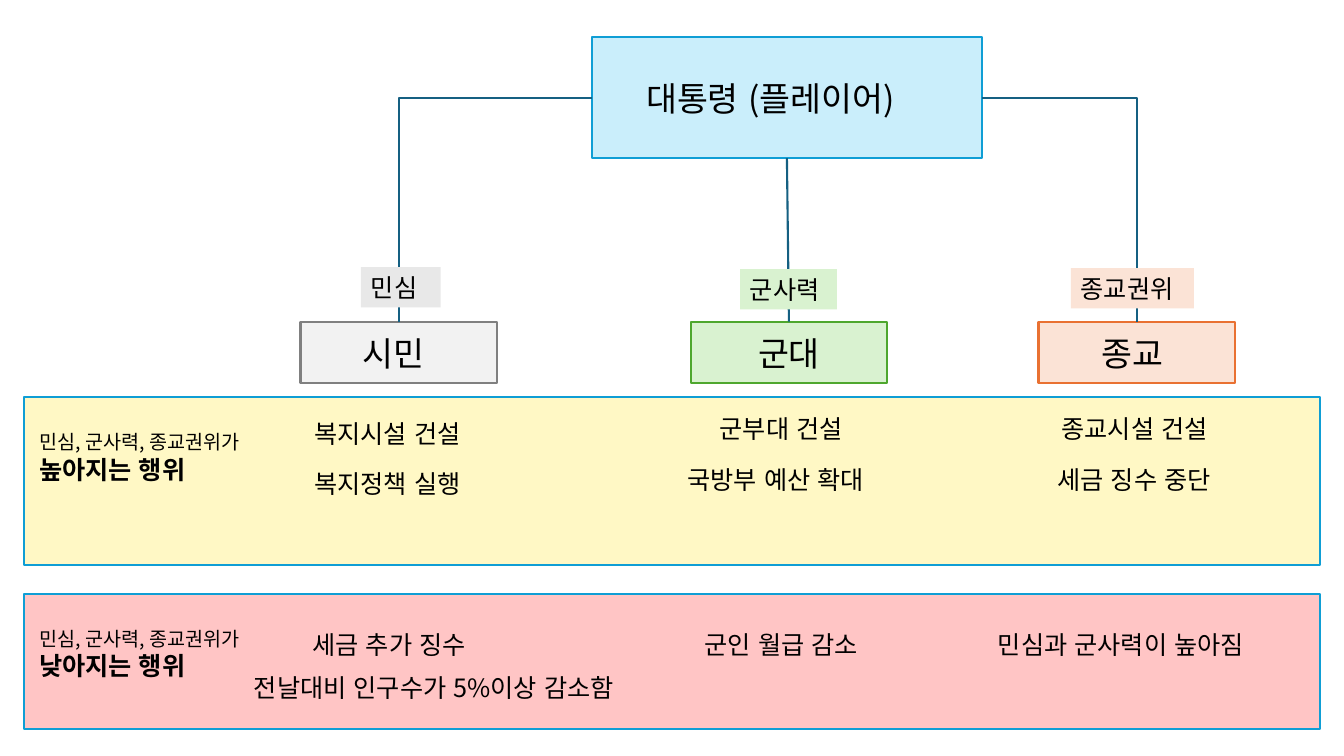
from dataclasses import dataclass

from lxml import etree
from pptx import Presentation
from pptx.dml import color
from pptx.enum import lang, shapes, text
from pptx.oxml import ns
from pptx.util import Inches, Pt


@dataclass(frozen=True)
class Theme:
    font: str = "Noto Sans CJK KR"
    ink: str = "000000"
    connector: str = "156082"
    accent: str = "0F9ED5"
    president: str = "CAEEFB"
    raising: str = "FFF8C5"
    lowering: str = "FFC5C5"
    title: int = 24
    body: int = 18
    small: int = 14
    line: float = 1.5


@dataclass(frozen=True)
class Box:
    x: float
    y: float
    w: float
    h: float
    fill: str
    line: str


@dataclass(frozen=True)
class Run:
    words: str
    size: int
    bold: bool = False


@dataclass(frozen=True)
class Label:
    x: float
    y: float
    w: float
    words: str
    h: float = 0.4
    fill: str | None = None


@dataclass(frozen=True)
class Faction:
    box: Box
    name: Label
    power: Label
    site: int  # connection site on the president box
    bent: bool


T = Theme()
BAND_X, BAND_W = 0.24, 12.85
BOX_Y, BOX_W, BOX_H = 3.19, 1.95, 0.61
LEFT, BOTTOM, RIGHT = 1, 2, 3

BANDS = [
    (Box(BAND_X, 5.89, BAND_W, 1.34, T.lowering, T.accent), 6.17, "낮아지는 행위"),
    (Box(BAND_X, 3.94, BAND_W, 1.67, T.raising, T.accent), 4.22, "높아지는 행위"),
]
PRESIDENT = Box(5.87, 0.37, 3.87, 1.2, T.president, T.accent)


def faction(x: float, fill: str, line: str, name_x: float, name: str,
            power: Label, site: int) -> Faction:
    return Faction(Box(x, BOX_Y, BOX_W, BOX_H, fill, line),
                   Label(name_x, 3.25, 1.32, name, 0.5),
                   power, site, site != BOTTOM)


FACTIONS = [
    faction(2.98, "F2F2F2", "808080", 3.5, "시민",
            Label(3.58, 2.65, 0.79, "민심", fill="E8E8E8"), LEFT),
    faction(6.85, "D9F2D0", "4EA72E", 7.42, "군대",
            Label(7.34, 2.67, 0.96, "군사력", fill="D9F2D0"), BOTTOM),
    faction(10.3, "FBE3D6", "E97132", 10.83, "종교",
            Label(10.62, 2.66, 1.22, "종교권위", fill="FBE3D6"), RIGHT),
]
ACTIONS = [
    Label(3.02, 4.1, 2.45, "복지시설 건설"),
    Label(7.04, 4.05, 1.61, "군부대 건설"),
    Label(10.43, 4.05, 2.07, "종교시설 건설"),
    Label(3.02, 4.6, 1.91, "복지정책 실행"),
    Label(6.72, 4.56, 2.21, "국방부 예산 확대"),
    Label(10.39, 4.56, 2.21, "세금 징수 중단"),
    Label(3, 6.19, 1.91, "세금 추가 징수"),
    Label(6.89, 6.19, 1.91, "군인 월급 감소"),
    Label(9.8, 6.19, 2.96, "민심과 군사력이 높아짐"),
    Label(2.42, 6.62, 4.81, "전날대비 인구수가 5%이상 감소함"),
]


def rgb(value: str) -> color.RGBColor:
    return color.RGBColor.from_string(value)


def add_box(s, box: Box):
    sp = s.shapes.add_shape(shapes.MSO_SHAPE.RECTANGLE, Inches(box.x),
                            Inches(box.y), Inches(box.w), Inches(box.h))
    sp.shadow.inherit = False
    sp.fill.solid()
    sp.fill.fore_color.rgb = rgb(box.fill)
    sp.line.color.rgb = rgb(box.line)
    sp.line.width = Pt(T.line)
    return sp


def add_run(p, run: Run) -> None:
    r = p.add_run()
    r.text = run.words
    r.font.size = Pt(run.size)
    if run.bold:
        r.font.bold = True
    r.font.language_id = lang.MSO_LANGUAGE_ID.KOREAN
    r.font.color.rgb = rgb(T.ink)
    r.font.name = T.font
    east_asian = etree.SubElement(r.font._element, ns.qn("a:ea"))
    east_asian.set("typeface", T.font)


def add_text(s, x: float, y: float, w: float, h: float, runs: list[Run],
             fill: str | None = None) -> None:
    """Add a text box with one paragraph per run."""
    sp = s.shapes.add_textbox(Inches(x), Inches(y), Inches(w), Inches(h))
    if fill:
        sp.fill.solid()
        sp.fill.fore_color.rgb = rgb(fill)
    tf = sp.text_frame
    tf.word_wrap = True
    tf.auto_size = text.MSO_AUTO_SIZE.SHAPE_TO_FIT_TEXT
    for i, run in enumerate(runs):
        add_run(tf.add_paragraph() if i else tf.paragraphs[0], run)


def add_label(s, label: Label, size: int) -> None:
    add_text(s, label.x, label.y, label.w, label.h,
             [Run(label.words, size)], label.fill)


def join(s, president, target, site: int, bent: bool) -> None:
    """Glue a line from a president site to the top of a faction box."""
    kind = shapes.MSO_CONNECTOR.ELBOW if bent else shapes.MSO_CONNECTOR.STRAIGHT
    middle = president.left + president.width // 2
    side = president.top + president.height // 2
    start = {LEFT: (president.left, side),
             BOTTOM: (middle, president.top + president.height),
             RIGHT: (president.left + president.width, side)}[site]
    line = s.shapes.add_connector(kind, *start,
                                  target.left + target.width // 2, target.top)
    line.begin_connect(president, site)
    line.end_connect(target, 0)
    line.line.color.rgb = rgb(T.connector)
    line.line.width = Pt(T.line)
    props = line._element.spPr
    if bent:
        props.find(ns.qn("a:prstGeom")).set("prst", "bentConnector2")
    etree.SubElement(props, ns.qn("a:effectLst"))


def main() -> None:
    prs = Presentation()
    prs.slide_width, prs.slide_height = Inches(13.33), Inches(7.5)
    s = prs.slides.add_slide(prs.slide_layouts[6])

    for band, heading_y, heading in BANDS:
        add_box(s, band)
        add_text(s, 0.29, heading_y, 2.39, 0.64,
                 [Run("민심, 군사력, 종교권위가", T.small),
                  Run(heading, T.body, bold=True)])

    president = add_box(s, PRESIDENT)
    add_label(s, Label(6.31, 0.72, 2.99, "대통령 (플레이어)", 0.5), T.title)
    for group in FACTIONS:
        target = add_box(s, group.box)
        join(s, president, target, group.site, group.bent)
        add_label(s, group.name, T.title)
        add_label(s, group.power, T.body)
    for action in ACTIONS:
        add_label(s, action, T.body)

    prs.save("out.pptx")


if __name__ == "__main__":
    main()
